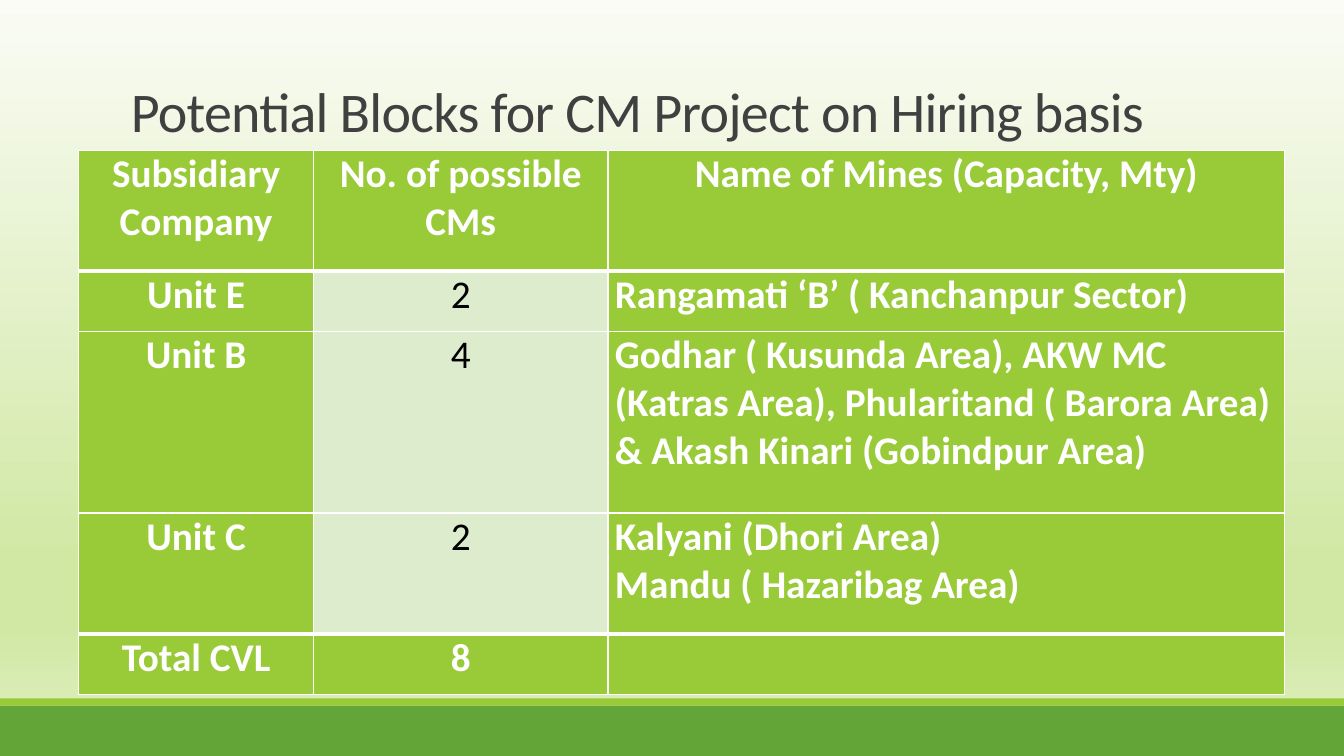
"""Build the slide on potential mine blocks for CM projects on hiring basis."""
from dataclasses import dataclass

from lxml import etree
from pptx import Presentation
from pptx import util as u
from pptx.dml.color import RGBColor
from pptx.enum import shapes, text
from pptx.oxml import ns

TITLE = "Potential Blocks for CM Project on Hiring basis"
ROWS = [
    (["Subsidiary", "Company"], ["No. of possible CMs"], ["Name of Mines (Capacity, Mty)"]),
    (["Unit E"], ["2"], ["Rangamati ‘B’ ( Kanchanpur Sector)"]),
    (["Unit B"], ["4"], ["Godhar ( Kusunda Area), AKW MC (Katras Area), "
                         "Phularitand ( Barora Area) & Akash Kinari (Gobindpur Area)"]),
    (["Unit C"], ["2"], ["Kalyani (Dhori Area)", "Mandu ( Hazaribag Area)"]),
    (["Total CVL"], ["8"], []),
]
COLUMN_WIDTHS = [2.33, 2.92, 6.71]
ROW_HEIGHTS = [1.2, 0.6, 1.8, 1.2, 0.6]
BACKGROUND = [(0, "FAFCF5"), (74, "D1E8A5"), (83, "D1E8A5"), (100, "E0EFC3")]


@dataclass(frozen=True)
class Theme:
    """Colours, font and type sizes."""
    font: str = "Calibri"
    title: str = "404040"
    green: str = "99CB38"
    dark_green: str = "63A537"
    pale: str = "DEECCE"
    rule: str = "808080"
    white: str = "FFFFFF"
    black: str = "000000"
    title_size: int = 40
    table_size: int = 28


THEME = Theme()


def element(parent, tag, **attributes):
    """Append a drawing element to a parent."""
    return etree.SubElement(parent, ns.qn(tag), attributes)


def add_span(para, words, size, colour, bold=False):
    """Add one styled run."""
    span = para.add_run()
    span.text = words
    span.font.name = THEME.font
    span.font.size = u.Pt(size)
    span.font.bold = bold
    span.font.color.rgb = RGBColor.from_string(colour)
    return span


def paint_background(page):
    """Fill the page with a vertical gradient."""
    fill = page.background.fill
    fill.gradient()
    gradient = page.background._cSld.find(".//" + ns.qn("a:gradFill"))
    stops = gradient.find(ns.qn("a:gsLst"))
    for stop in list(stops):
        stops.remove(stop)
    for position, colour in BACKGROUND:
        stop = element(stops, "a:gs", pos=str(position * 1000))
        element(stop, "a:srgbClr", val=colour)
    gradient.find(ns.qn("a:lin")).set("ang", "5400000")


def add_band(page, top, height, colour):
    """Add a full-width band."""
    band = page.shapes.add_shape(shapes.MSO_SHAPE.RECTANGLE, 0, u.Inches(top),
                                 u.Inches(13.33), u.Inches(height))
    band.shadow.inherit = False
    band.fill.solid()
    band.fill.fore_color.rgb = RGBColor.from_string(colour)
    band.line.fill.background()


def add_rule(page):
    """Add the thin rule under the title."""
    rule = page.shapes.add_connector(shapes.MSO_CONNECTOR.STRAIGHT, u.Inches(1.31),
                                     u.Inches(1.9), u.Inches(12.21), u.Inches(1.9))
    rule.line.color.rgb = RGBColor.from_string(THEME.rule)
    rule.line.width = u.Pt(0.5)
    element(rule._element.spPr, "a:effectLst")


def add_title(page):
    """Add the slide title."""
    box = page.shapes.add_textbox(u.Inches(1.2), u.Inches(0.65), u.Inches(11), u.Inches(0.83))
    frame = box.text_frame
    frame.word_wrap = True
    frame.vertical_anchor = text.MSO_ANCHOR.BOTTOM
    para = frame.paragraphs[0]
    para.line_spacing = 0.85
    span = add_span(para, TITLE, THEME.title_size, THEME.title)
    span.font._element.set("spc", "-50")


def set_borders(cell, top, bottom):
    """Draw white cell borders with the given top and bottom widths."""
    properties = cell._tc.get_or_add_tcPr()
    for side, width in (("L", 1), ("R", 1), ("T", top), ("B", bottom)):
        line = element(properties, "a:ln" + side, w=str(u.Pt(width)))
        element(element(line, "a:solidFill"), "a:srgbClr", val=THEME.white)


def add_mine_table(page):
    """Add the table of companies and mines."""
    last = len(ROWS) - 1
    table = page.shapes.add_table(len(ROWS), len(COLUMN_WIDTHS), u.Inches(0.78), u.Inches(1.49),
                                  u.Inches(sum(COLUMN_WIDTHS)), u.Inches(sum(ROW_HEIGHTS))).table
    table.first_row = table.horz_banding = False
    for column, width in zip(table.columns, COLUMN_WIDTHS):
        column.width = u.Inches(width)
    for r, (row, height) in enumerate(zip(ROWS, ROW_HEIGHTS)):
        table.rows[r].height = u.Inches(height)
        for c, lines in enumerate(row):
            cell = table.cell(r, c)
            body = 0 < r < last
            count = body and c == 1
            cell.margin_left = cell.margin_right = u.Inches(0.07)
            cell.margin_top = cell.margin_bottom = 0
            set_borders(cell, 3 if r in (1, last) else 1, 3 if r in (0, last - 1) else 1)
            cell.fill.solid()
            cell.fill.fore_color.rgb = RGBColor.from_string(THEME.pale if count else THEME.green)
            for i, words in enumerate(lines):
                frame = cell.text_frame
                para = frame.add_paragraph() if i else frame.paragraphs[0]
                left = body and c == 2
                para.alignment = text.PP_ALIGN.LEFT if left else text.PP_ALIGN.CENTER
                add_span(para, words, THEME.table_size,
                         THEME.black if count else THEME.white, not count)


def main():
    """Assemble and save the deck."""
    deck = Presentation()
    deck.slide_width, deck.slide_height = u.Inches(13.33), u.Inches(7.5)
    page = deck.slides.add_slide(deck.slide_layouts[6])
    paint_background(page)
    add_band(page, 7, 0.5, THEME.dark_green)
    add_band(page, 6.93, 0.07, THEME.green)
    add_rule(page)
    add_title(page)
    add_mine_table(page)
    deck.save("out.pptx")


if __name__ == "__main__":
    main()
